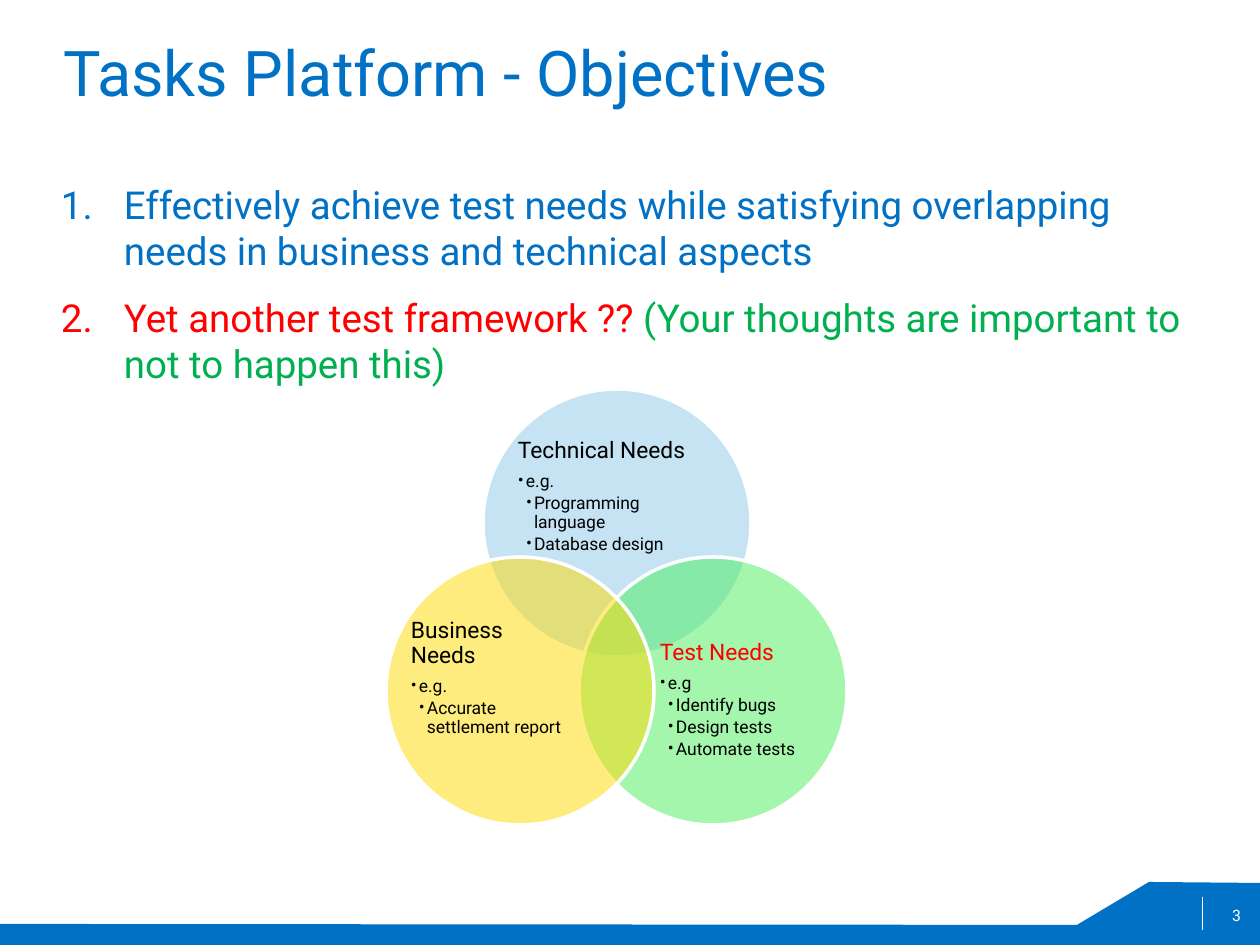
from dataclasses import dataclass

from lxml.etree import SubElement
from pptx import Presentation
from pptx.dml.color import RGBColor
from pptx.enum.shapes import MSO_CONNECTOR as Connector, MSO_SHAPE as Shape
from pptx.enum.text import MSO_ANCHOR as Anchor, MSO_AUTO_SIZE as AutoSize, PP_ALIGN as Align
from pptx.oxml.ns import qn
from pptx.util import Emu, Pt

FONT = "Roboto"
BLUE, RED, GREEN = "0071C5", "FF0000", "00B050"
WHITE, BLACK = "FFFFFF", "000000"
DIAMETER = 268


@dataclass(frozen=True)
class Box:
    left: int
    top: int
    width: int
    height: int


@dataclass(frozen=True)
class Need:
    center: tuple[int, int]
    fill: str
    text_box: Box
    heading: str
    heading_color: str
    lead: str
    examples: tuple[str, ...]


# Drawn from back to front
NEEDS = (
    Need((617, 523), "8DC8E8", Box(518, 436, 196, 121), "Technical Needs", BLACK,
         "e.g.", ("Programming language", "Database design")),
    Need((713, 691), "4BEF5C", Box(660, 626, 161, 148), "Test Needs", RED,
         "e.g", ("Identify bugs", "Design tests", "Automate tests")),
    Need((520, 691), "FFDA00", Box(411, 604, 161, 148), "Business Needs", BLACK,
         "e.g.", ("Accurate settlement report",)),
)

# Each objective is a list of (text, colour) spans
OBJECTIVES = (
    (("Effectively achieve test needs while satisfying overlapping needs "
      "in business and technical aspects", BLUE),),
    (("Yet another test framework ?? ", RED),
     ("(Your thoughts are important to not to happen this)", GREEN)),
)


def px(length: float) -> Emu:
    return Emu(round(length * 914400 / 126))


def rgb(color: str) -> RGBColor:
    return RGBColor.from_string(color)


def set_font(font, size: float, color: str) -> None:
    font.name, font.size = FONT, Pt(size)
    font.color.rgb = rgb(color)


def set_frame(frame, anchor: Anchor) -> None:
    frame.word_wrap = True
    frame.auto_size = AutoSize.NONE
    frame.vertical_anchor = anchor
    frame.margin_left = frame.margin_right = frame.margin_top = frame.margin_bottom = 0


def add_text_box(page, box: Box, anchor: Anchor):
    shape = page.shapes.add_textbox(px(box.left), px(box.top), px(box.width), px(box.height))
    set_frame(shape.text_frame, anchor)
    return shape.text_frame


def next_paragraph(frame):
    first = frame.paragraphs[0]
    return first if not first.runs else frame.add_paragraph()


def set_bullet(para, margin: int, hang: int, color: str, tag: str, **attributes: str) -> None:
    """Give a paragraph a hanging bullet or number; call before setting its font."""
    properties = para._p.get_or_add_pPr()
    properties.set("marL", str(px(margin)))
    properties.set("indent", str(-px(hang)))
    bullet_color = SubElement(properties, qn("a:buClr"))
    SubElement(bullet_color, qn("a:srgbClr"), val=color)
    SubElement(properties, qn("a:buFont"), typeface=FONT)
    SubElement(properties, qn(tag), **attributes)


def add_footer(page) -> None:
    builder = page.shapes.build_freeform(px(1260), px(883), scale=1.0)
    corners = ((1149, 882), (1077, 925), (0, 924), (0, 945), (1260, 945))
    builder.add_line_segments([(px(x), px(y)) for x, y in corners], close=True)
    band = builder.convert_to_shape()
    band.shadow.inherit = False
    band.fill.solid()
    band.fill.fore_color.rgb = rgb(BLUE)
    band.line.fill.background()

    divider = page.shapes.add_connector(Connector.STRAIGHT, px(1202), px(897), px(1202), px(930))
    divider.line.color.rgb = rgb(WHITE)
    divider.line.width = Pt(0.25)
    SubElement(divider._element.spPr, qn("a:effectLst"))

    para = add_text_box(page, Box(947, 890, 294, 50), Anchor.MIDDLE).paragraphs[0]
    para.text = "3"
    para.alignment = Align.RIGHT
    set_font(para.font, 9, WHITE)


def add_title(page) -> None:
    title = page.shapes.title
    title.left, title.top, title.width, title.height = px(63), px(34), px(1134), px(136)
    set_frame(title.text_frame, Anchor.TOP)
    para = title.text_frame.paragraphs[0]
    para.text = "Tasks Platform - Objectives"
    para.alignment = Align.LEFT
    set_font(para.font, 36, BLUE)


def add_objectives(page) -> None:
    frame = add_text_box(page, Box(61, 181, 1134, 703), Anchor.TOP)
    for spans in OBJECTIVES:
        para = next_paragraph(frame)
        set_bullet(para, 63, 63, spans[0][1], "a:buAutoNum", type="arabicPeriod")
        para.space_before = Pt(12)
        for text, color in spans:
            span = para.add_run()
            span.text = text
            set_font(span.font, 22, color)


def add_need_line(frame, text: str, size: float, color: str, level: int) -> None:
    para = next_paragraph(frame)
    if level:
        set_bullet(para, 8 * level, 8, color, "a:buChar", char="•")
    para.text = text
    para.line_spacing = 0.9
    para.space_after = Pt(1.75 if level else 5.3)
    set_font(para.font, size, color)


def add_need(page, need: Need) -> None:
    x, y = need.center
    circle = page.shapes.add_shape(Shape.OVAL, px(x - DIAMETER / 2), px(y - DIAMETER / 2),
                                   px(DIAMETER), px(DIAMETER))
    circle.shadow.inherit = False
    circle.fill.solid()
    circle.fill.fore_color.rgb = rgb(need.fill)
    fill_color = circle._element.spPr.find(qn("a:solidFill")).find(qn("a:srgbClr"))
    SubElement(fill_color, qn("a:alpha"), val="50000")
    circle.line.color.rgb = rgb(WHITE)
    circle.line.width = Pt(2)

    frame = add_text_box(page, need.text_box, Anchor.MIDDLE)
    add_need_line(frame, need.heading, 13, need.heading_color, 0)
    add_need_line(frame, need.lead, 10, BLACK, 1)
    for example in need.examples:
        add_need_line(frame, example, 10, BLACK, 2)


def main() -> None:
    deck = Presentation()
    deck.slide_width, deck.slide_height = px(1260), px(945)
    page = deck.slides.add_slide(deck.slide_layouts[5])
    add_footer(page)
    add_title(page)
    add_objectives(page)
    for need in NEEDS:
        add_need(page, need)
    deck.save("out.pptx")


if __name__ == "__main__":
    main()
